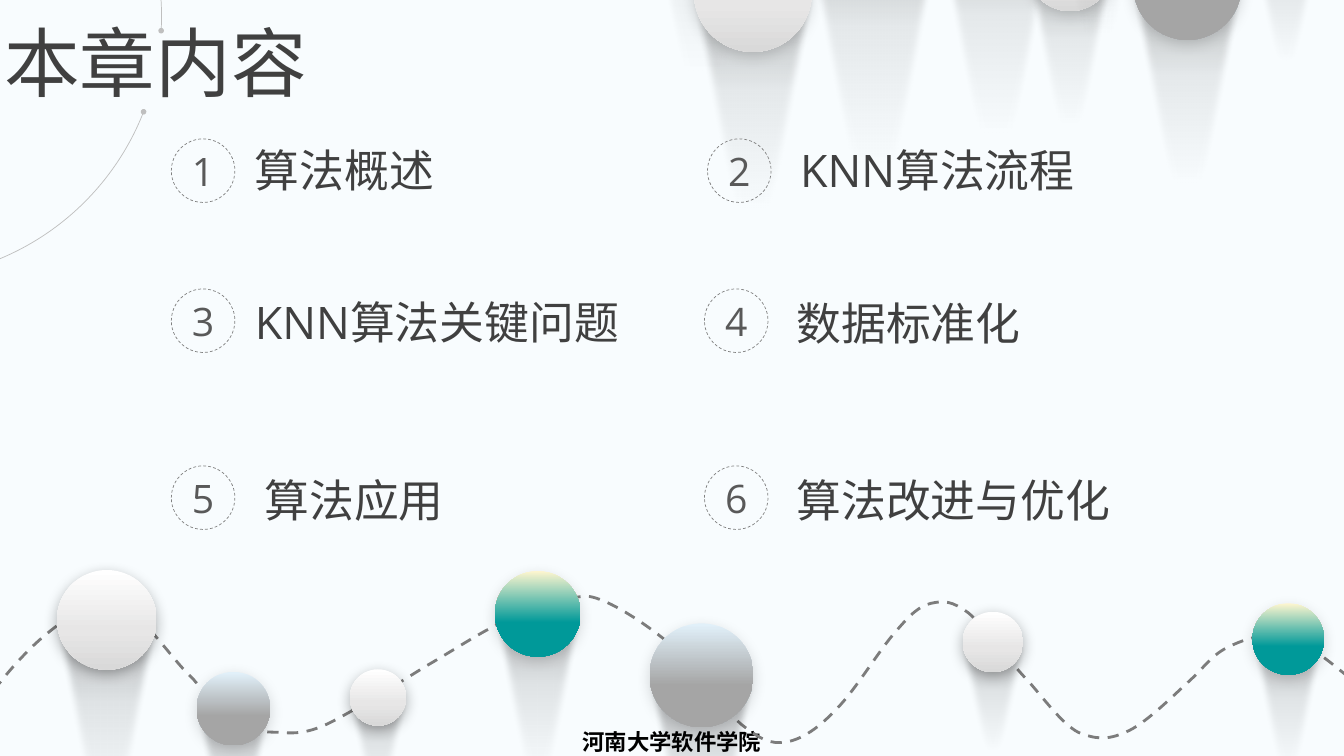
"""Chapter contents slide: six numbered topics between hanging and floating balls."""
import pptx
import pptx.dml.color
import pptx.enum.dml
import pptx.enum.shapes
import pptx.enum.text
import pptx.oxml.ns
import pptx.util
from lxml import etree

Pt = pptx.util.Pt
RGB = pptx.dml.color.RGBColor.from_string
qn = pptx.oxml.ns.qn
SHAPE = pptx.enum.shapes.MSO_SHAPE
DASH = pptx.enum.dml.MSO_LINE.DASH
CENTER = pptx.enum.text.PP_ALIGN.CENTER

theme = {
    "background": "F8FCFE",
    "arc": "BFBFBF",
    "wave": "7C7C7C",
    "ring": "808080",
    "shadow": "000000",
    "title": ("Open Sans", 54, "404040", False),
    "topic": ("Open Sans", 32, "404040", False),
    "number": ("Open Sans", 28, "595959", False),
    "school": ("DejaVu Sans", 16, "000000", True),
    "white": [(0, "FFFFFF", 100), (60, "E7E6E6", 100), (100, "D9D9D9", 100)],
    "grey": [(1, "E1F0F9", 100), (60, "A5A5A5", 100), (100, "A5A5A5", 100)],
    "teal": [(0, "FFF6CF", 100), (60, "009999", 100), (100, "009999", 100)],
    "hanging": [(0, "262626", 30), (30, "000000", 8), (50, "000000", 4), (70, "000000", 0)],
    "floating": [(0, "000000", 30), (30, "000000", 10), (50, "000000", 5), (70, "000000", 0)],
}

deck = pptx.Presentation()
deck.slide_width, deck.slide_height = Pt(960), Pt(540)
slide = deck.slides.add_slide(deck.slide_layouts[6])
slide.background.fill.solid()
slide.background.fill.fore_color.rgb = RGB(theme["background"])


def add_curve(start, curves, closed):
    """Add a freeform of cubic curves given as (x1, y1, x2, y2, x, y)."""
    builder = slide.shapes.build_freeform(Pt(start[0]), Pt(start[1]))
    builder.add_line_segments([(Pt(c[4]), Pt(c[5])) for c in curves], close=closed)
    outline = builder.convert_to_shape()
    outline.shadow.inherit = False
    segments = list(outline._element.spPr.iter(qn("a:lnTo")))
    for segment, curve in zip(segments, curves):
        cubic = etree.Element(qn("a:cubicBezTo"))
        for x, y in zip(curve[::2], curve[1::2]):
            etree.SubElement(cubic, qn("a:pt"), x=str(Pt(x) - outline.left),
                             y=str(Pt(y) - outline.top))
        segment.getparent().replace(segment, cubic)
    return outline


def fill_downward(shape, stops):
    """Fill a shape from top to bottom with (position, colour, opacity) stops."""
    shape.line.fill.background()
    shape.fill.gradient()
    shape.fill.gradient_angle = 270
    stop_list = shape._element.spPr.find(".//" + qn("a:gsLst"))
    for old_stop in list(stop_list):
        stop_list.remove(old_stop)
    for position, colour, opacity in stops:
        stop = etree.SubElement(stop_list, qn("a:gs"), pos=str(position * 1000))
        tint = etree.SubElement(stop, qn("a:srgbClr"), val=colour)
        if opacity < 100:
            etree.SubElement(tint, qn("a:alpha"), val=str(opacity * 1000))


captions = []
school = slide.shapes.add_textbox(Pt(355.5), Pt(516.7), Pt(249), Pt(23.8))
school.text_frame.paragraphs[0].space_before = Pt(3.2)
school.text_frame.paragraphs[0].alignment = CENTER
captions.append((school, "河南大学软件学院", "school"))

arc = slide.shapes.add_shape(SHAPE.ARC, Pt(-259.7), Pt(-175.9), Pt(375.1), Pt(375.1))
arc.adjustments[0], arc.adjustments[1] = 12.794, 1.883
arc.shadow.inherit = False
arc.fill.background()
arc.line.color.rgb = RGB(theme["arc"])
arc.line.width = Pt(0.5)
for arc_end in ("a:headEnd", "a:tailEnd"):
    etree.SubElement(arc.line._get_or_add_ln(), qn(arc_end), type="oval", w="sm", len="sm")

wave = add_curve((-4.3, 493.2), [
    (4, 482, 13, 472, 21, 464), (30, 455, 38, 449, 46, 443),
    (53, 438, 58, 435, 66, 433), (73, 433, 83, 433, 90, 436),
    (97, 439, 99, 442, 107, 450), (115, 458, 128, 476, 138, 485),
    (146, 495, 155, 503, 161, 508), (168, 513, 171, 516, 177, 518),
    (183, 521, 186, 523, 195, 523), (204, 523, 214, 526, 232, 518),
    (250, 510, 304, 476, 304, 476), (325, 464, 344, 451, 360, 444),
    (376, 436, 387, 433, 399, 431), (410, 428, 415, 423, 428, 428),
    (442, 433, 465, 448, 482, 463), (499, 477, 516, 505, 529, 517),
    (543, 528, 550, 532, 562, 530), (573, 528, 585, 520, 598, 506),
    (611, 493, 629, 463, 640, 451), (651, 438, 657, 433, 665, 431),
    (674, 429, 680, 429, 692, 438), (704, 448, 722, 474, 735, 487),
    (748, 502, 759, 517, 770, 523), (782, 528, 791, 529, 804, 523),
    (817, 518, 837, 498, 849, 487), (860, 477, 864, 470, 874, 464),
    (883, 459, 896, 454, 906, 454), (916, 453, 922, 455, 932, 461),
    (942, 466, 954, 476, 966, 486)], False)
wave.fill.background()
wave.line.color.rgb = RGB(theme["wave"])
wave.line.width = Pt(2)
wave.line.dash_style = DASH

beams = [
    ("hanging", 659.5, -103.7, 46.1, 115.2, 0, None, 0),
    ("hanging", 733.7, -117.4, 60.5, 151.2, 0, None, 0),
    ("hanging", 717.8, -203.8, 98.6, 244.8, 0, None, 0),
    ("hanging", 679.3, -151.2, 74.2, 184.3, 0, None, 0),
    ("hanging", 918.7, -42.5, 56.2, 131.8, 0, None, 0),
    ("hanging", 764.3, -23, 68.4, 169.9, 61.9, "white", 15),
    ("hanging", 711.4, -58.3, 92.2, 230.4, 0, None, 0),
    ("hanging", 503.5, -126, 107.3, 265.7, 0, None, 0),
    ("hanging", 595.1, -116.6, 64.8, 160.6, 0, None, 0),
    ("hanging", 583.2, -160.6, 69.1, 169.9, 0, None, 0),
    ("hanging", 623.9, -61.2, 107.3, 265.7, 0, None, 0),
    ("hanging", 563.4, -86.4, 72, 180, 0, None, 0),
    ("hanging", 537.8, -5, 92.2, 230.4, 84.2, "white", 15),
    ("hanging", 784.1, -115.9, 85, 211, 0, None, 0),
    ("hanging", 818.3, -74.9, 49.7, 112.3, 0, None, 0),
    ("hanging", 848.2, -10, 85, 211, 77, "grey", 15),
    ("floating", 76.3, 442.8, 79.2, 195.8, 71.3, "white", 30),
    ("floating", 166.7, 506.2, 58.3, 144, 52.6, "grey", 15),
    ("floating", 270, 498.2, 47.5, 110.2, 40.3, "white", 30),
    ("floating", 384.1, 438.5, 67.7, 167.8, 61.2, "teal", 15),
    ("floating", 501.1, 482.4, 82.1, 201.6, 74.2, "grey", 15),
    ("floating", 709.2, 458.6, 51.8, 118.8, 43.2, "white", 30),
    ("floating", 920.2, 456.5, 56.2, 139, 51.1, "teal", 15),
]
for fade, x, y, width, height, diameter, finish, shade in beams:
    beam = add_curve((x + width / 2, y), [
        (x + 0.34 * width, y + 0.33 * height, x + 0.04 * width, y + 1.02 * height, x, y + height),
        (x - 0.04 * width, y + 1.02 * height, x - 0.34 * width, y + 0.33 * height,
         x - width / 2, y)], True)
    fill_downward(beam, theme[fade])
    etree.SubElement(beam._element.spPr.find(qn("a:effectLst")), qn("a:softEdge"), rad=str(Pt(5)))
    if finish:
        ball = slide.shapes.add_shape(SHAPE.OVAL, Pt(x - diameter / 2), Pt(y - diameter / 2),
                                      Pt(diameter), Pt(diameter))
        fill_downward(ball, theme[finish])
        ball.shadow.inherit = False
        cast = etree.SubElement(ball._element.spPr.find(qn("a:effectLst")), qn("a:outerShdw"),
                                blurRad=str(Pt(10)), dist=str(Pt(3)), dir="5400000",
                                algn="t", rotWithShape="0")
        cast_colour = etree.SubElement(cast, qn("a:srgbClr"), val=theme["shadow"])
        etree.SubElement(cast_colour, qn("a:alpha"), val=str(shade * 1000))

title = slide.shapes.add_textbox(Pt(-4), Pt(7.9), Pt(234), Pt(72.7))
captions.append((title, "本章内容", "title"))

topics = [
    ("算法概述", 122.4, 99.2, 175, 98.6, 145),
    ("KNN算法流程", 505.4, 99.2, 564.5, 98.6, 216.5),
    ("KNN算法关键问题", 122.4, 206.4, 175, 207, 281),
    ("数据标准化", 503.2, 206.4, 561.8, 207.6, 178),
    ("算法应用", 122.4, 332.8, 181.8, 334.1, 145),
    ("算法改进与优化", 503.2, 332.8, 561.8, 334.1, 242),
]
for number, (topic, ring_x, ring_y, topic_x, topic_y, topic_width) in enumerate(topics, 1):
    ring = slide.shapes.add_shape(SHAPE.OVAL, Pt(ring_x), Pt(ring_y), Pt(45.4), Pt(45.4))
    ring.shadow.inherit = False
    ring.fill.background()
    ring.line.color.rgb = RGB(theme["ring"])
    ring.line.width = Pt(0.5)
    ring.line.dash_style = DASH
    ring.text_frame.margin_left = ring.text_frame.margin_right = 0
    ring.text_frame.vertical_anchor = pptx.enum.text.MSO_ANCHOR.MIDDLE
    ring.text_frame.paragraphs[0].alignment = CENTER
    label = slide.shapes.add_textbox(Pt(topic_x), Pt(topic_y), Pt(topic_width), Pt(46))
    captions += [(ring, str(number), "number"), (label, topic, "topic")]

for holder, words, role in captions:
    typeface, size, colour, bold = theme[role]
    holder.text_frame.word_wrap = True
    run = holder.text_frame.paragraphs[0].add_run()
    run.text = words
    run.font.name = typeface
    run.font.size = Pt(size)
    run.font.bold = bold
    run.font.color.rgb = RGB(colour)
    etree.SubElement(run._r.get_or_add_rPr(), qn("a:ea"), typeface=typeface)

deck.save("out.pptx")
